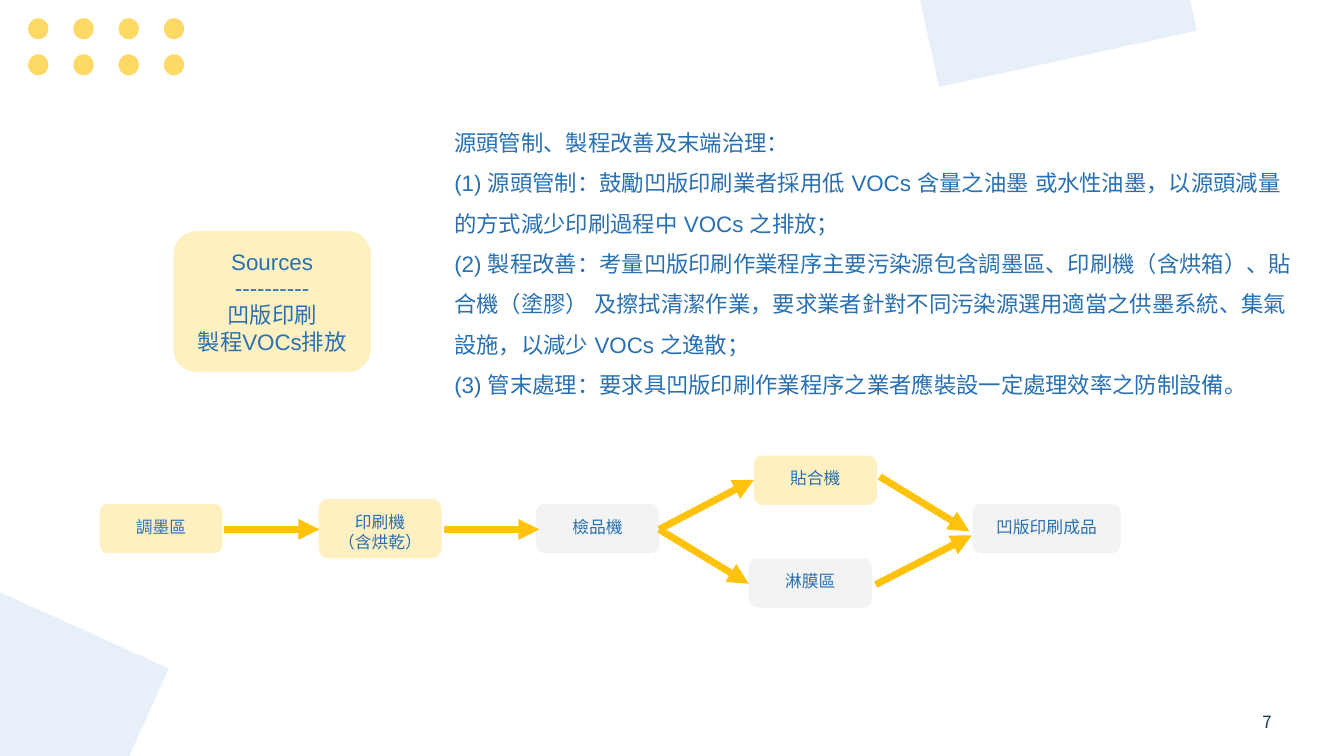
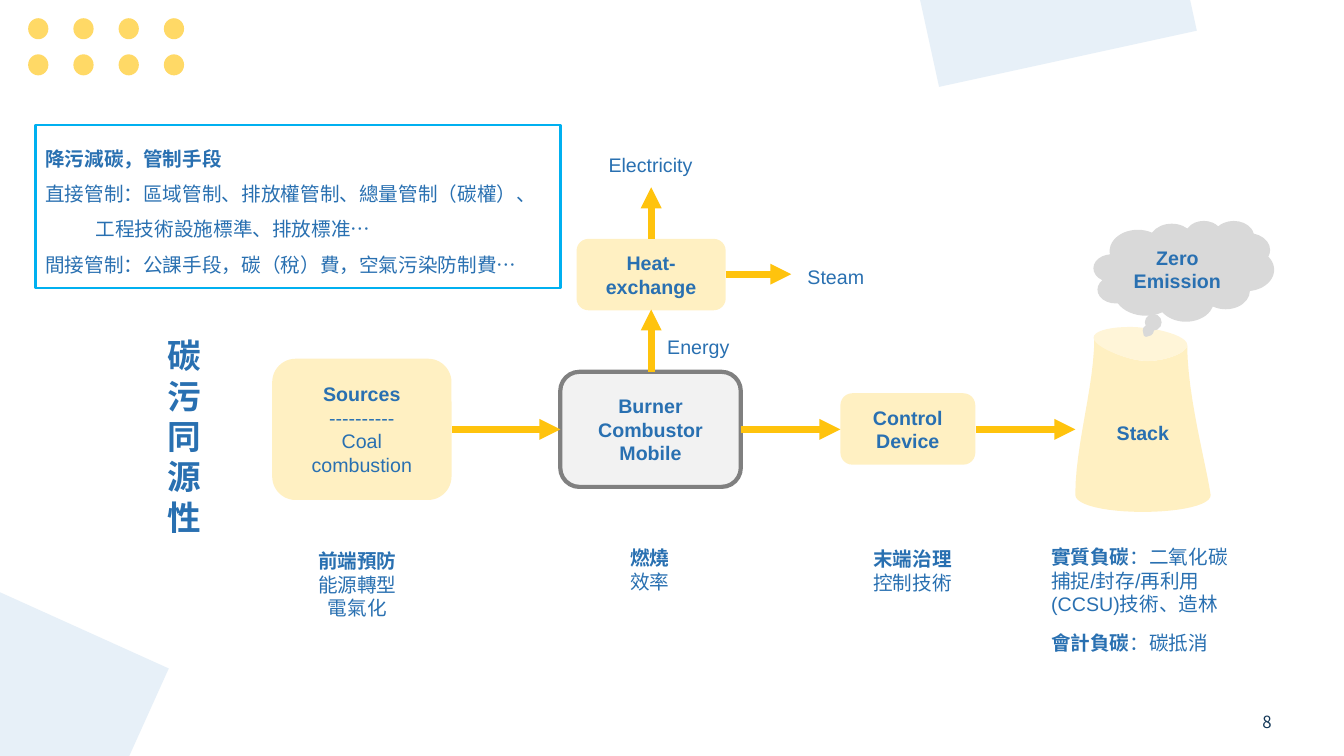
from lxml.etree import SubElement
from pptx import Presentation
from pptx.dml.color import RGBColor as RGB
from pptx.enum.shapes import MSO_CONNECTOR as LINK, MSO_SHAPE as KIND
from pptx.enum.text import MSO_ANCHOR as ANCHOR, PP_ALIGN as ALIGN
from pptx.oxml.ns import qn
from pptx.util import Cm, Pt

BLUE, NAVY, PALE = "2970B1", "143858", "E7F0F8"
GOLD, DOT, CREAM, RIM = "FFC30D", "FFD966", "FFF0C2", "FFF5D8"
GREY, ASH, EDGE, SKY, CLOUD = "F3F3F3", "F2F2F2", "808080", "00B0F0", "D9D9D9"
LATIN, HAN = "Arial", "Noto Sans CJK SC"
ROUND, MID, TOP = KIND.ROUNDED_RECTANGLE, ANCHOR.MIDDLE, ANCHOR.TOP


def box(slide, shape, at=None, text="", fill=None, line=None, size=14, ink=BLUE,
        font=LATIN, han=HAN, align=ALIGN.CENTER, anchor=TOP, gap=1.0):
    if at:
        area = [Cm(n) for n in at]
        if shape is None:
            shape = slide.shapes.add_textbox(*area)
        else:
            shape = slide.shapes.add_shape(shape, *area)
    shape.shadow.inherit = False
    if fill:
        shape.fill.solid()
        shape.fill.fore_color.rgb = RGB.from_string(fill)
    else:
        shape.fill.background()
    if line:
        shape.line.color.rgb = RGB.from_string(line[0])
        shape.line.width = Pt(line[1])
    else:
        shape.line.fill.background()
    if not text:
        return shape
    frame = shape.text_frame
    frame.word_wrap = True
    frame.vertical_anchor = anchor
    frame.margin_left = frame.margin_right = Cm(0.25)
    frame.margin_top = frame.margin_bottom = Cm(0.25)
    frame.text = text
    for par in frame.paragraphs:
        par.alignment, par.line_spacing = align, gap
        head, mark, tail = par.text.rpartition("|")
        par.text = head or tail
        if head and tail:
            par.add_run().text = tail
        for i, run in enumerate(par.runs):
            run.font.size, run.font.name = Pt(size), font
            run.font.bold = bool(head) and i == 0
            run.font.color.rgb = RGB.from_string(ink)
            SubElement(run.font._element, qn("a:ea"), typeface=han)
    return shape


def arrow(slide, *ends):
    link = slide.shapes.add_connector(LINK.STRAIGHT, *[Cm(n) for n in ends])
    link.line.color.rgb = RGB.from_string(GOLD)
    link.line.width = Pt(5)
    SubElement(link.line._get_or_add_ln(), qn("a:tailEnd"), type="triangle")
    SubElement(link._element.spPr, qn("a:effectLst"))


deck = Presentation()
deck.slide_width, deck.slide_height = Cm(33.87), Cm(19.05)
print_page, carbon_page = [deck.slides.add_slide(deck.slide_layouts[6]) for _ in range(2)]

for num, page in enumerate((print_page, carbon_page), 7):
    for i in range(8):
        row, col = divmod(i, 4)
        box(page, KIND.OVAL, (0.71 + 1.14 * col, 0.46 + 0.91 * row, 0.51, 0.53), fill=DOT)
    for left, top, turn in ((23.14, -2.69, 347.7), (-2.97, 15.29, 24.3)):
        box(page, KIND.RECTANGLE, (left, top, 6.65, 4.22), fill=PALE).rotation = turn
    box(page, None, (30.43, 17.68, 3, 1.02), str(num), size=12, ink=NAVY, font=HAN, anchor=MID)

box(print_page, ROUND, (4.37, 5.82, 4.98, 3.56),
    "Sources\n----------\n凹版印刷\n製程VOCs排放", CREAM, size=16, han=LATIN)
steps = [
    (2.51, 12.7, 3.1, 1.24, "調墨區", CREAM),
    (8.03, 12.57, 3.1, 1.5, "印刷機\n（含烘乾）", CREAM),
    (19, 11.48, 3.1, 1.24, "貼合機", CREAM),
    (13.51, 12.7, 3.1, 1.24, "檢品機", GREY),
    (24.51, 12.7, 3.73, 1.24, "凹版印刷成品", GREY),
    (18.87, 14.07, 3.1, 1.24, "淋膜區", GREY),
]
for *at, text, fill in steps:
    box(print_page, ROUND, at, text, fill, size=12, han=LATIN)
for ends in [
    (5.64, 13.34, 8.05, 13.34),
    (11.18, 13.34, 13.59, 13.34),
    (16.61, 13.34, 19, 12.09),
    (16.61, 13.34, 18.87, 14.71),
    (22.17, 12.01, 24.43, 13.39),
    (22.07, 14.73, 24.49, 13.49),
]:
    arrow(print_page, *ends)
rules = [
    "源頭管制、製程改善及末端治理：",
    "(1) 源頭管制：鼓勵凹版印刷業者採用低 VOCs 含量之油墨 或水性油墨，"
    "以源頭減量的方式減少印刷過程中 VOCs 之排放；",
    "(2) 製程改善：考量凹版印刷作業程序主要污染源包含調墨區、印刷機（含烘箱）、"
    "貼合機（塗膠） 及擦拭清潔作業，要求業者針對不同污染源選用適當之供墨系統、"
    "集氣設施，以減少 VOCs 之逸散；",
    "(3) 管末處理：要求具凹版印刷作業程序之業者應裝設一定處理效率之防制設備。",
]
box(print_page, None, (11.2, 2.67, 21.62, 8.71), "\n".join(rules),
    size=16, han=LATIN, align=ALIGN.LEFT, gap=1.5)

units = [
    (6.86, 9.04, 4.52, 3.56, "Sources|\n----------\nCoal combustion", CREAM, None),
    (14.12, 9.37, 4.55, 2.9, "Burner|\nCombustor|\nMobile|", ASH, (EDGE, 3)),
    (14.53, 6.02, 3.76, 1.8, "Heat- exchange|", CREAM, None),
    (21.18, 9.91, 3.4, 1.8, "Control|\nDevice|", CREAM, None),
]
for *at, text, fill, line in units:
    box(carbon_page, ROUND, at, text, fill, line, anchor=MID)

body = [(27.58, 8.48),
        (27.58, 8.74), (28.4, 9.07), (28.8, 9.09),
        (29.18, 9.14), (29.92, 8.94), (29.92, 8.69),
        (29.92, 9.96), (30.4, 11.71), (30.51, 12.47),
        (30.53, 12.73), (29.74, 12.9), (28.8, 12.9),
        (27.86, 12.9), (27.1, 12.73), (27.1, 12.47),
        (27.1, 11.2), (27.58, 9.75), (27.58, 8.48)]
rim = [(27.56, 8.51),
       (27.56, 8.26), (28.4, 8.2), (28.8, 8.26),
       (29.18, 8.28), (29.92, 8.46), (29.92, 8.69),
       (29.92, 8.94), (29.18, 9.14), (28.8, 9.09),
       (28.4, 9.07), (27.56, 8.74), (27.56, 8.51)]
for curve, fill, text in ((body, CREAM, "Stack|"), (rim, RIM, "")):
    dots = []
    for i in range(0, len(curve) - 1, 3):
        for t in [n / 12 for n in range(1, 13)]:
            parts = ((1 - t) ** 3, 3 * t * (1 - t) ** 2, 3 * t * t * (1 - t), t ** 3)
            dots.append([Cm(sum(w * p[k] for w, p in zip(parts, curve[i:i + 4])))
                         for k in (0, 1)])
    pen = carbon_page.shapes.build_freeform(*[Cm(n) for n in curve[0]])
    pen.add_line_segments(dots)
    stack = box(carbon_page, pen.convert_to_shape(), text=text, fill=fill, anchor=MID)
    if text:
        stack.text_frame.margin_top = Cm(0.7)

for ends in [
    (11.4, 10.82, 14.12, 10.82),
    (18.67, 10.82, 21.18, 10.82),
    (24.59, 10.82, 27.1, 10.82),
    (18.29, 6.91, 19.94, 6.91),
    (16.41, 9.37, 16.41, 7.8),
    (16.41, 6.02, 16.41, 4.72),
]:
    arrow(carbon_page, *ends)
box(carbon_page, KIND.CLOUD_CALLOUT, (27.56, 5.56, 4.55, 2.54), "Zero Emission|", CLOUD)

notes = [
    (16.1, 8.2, 3, 1.12, "Energy"),
    (14.58, 3.61, 3.63, 1.12, "Electricity"),
    (19.25, 6.43, 3.63, 1.12, "Steam"),
    (7.19, 13.59, 3.63, 2.31, "前端預防|\n能源轉型\n電氣化"),
    (14.73, 13.51, 3.3, 1.7, "燃燒|\n效率"),
    (21.18, 13.54, 3.63, 1.7, "末端治理|\n控制技術"),
]
for *at, text in notes:
    box(carbon_page, None, at, text)
for top, high, text in [
    (13.49, 2.31, "實質負碳|：二氧化碳捕捉/封存/再利用(CCSU)技術、造林"),
    (15.65, 1.12, "會計負碳|：碳抵消"),
]:
    box(carbon_page, None, (26.24, top, 5.33, high), text, align=ALIGN.LEFT)
means = [
    "降污減碳，管制手段|",
    "直接管制：區域管制、排放權管制、總量管制（碳權）、",
    "\t工程技術設施標準、排放標准…",
    "間接管制：公課手段，碳（稅）費，空氣污染防制費…",
]
box(carbon_page, KIND.RECTANGLE, (0.89, 3.15, 13.23, 4.11), "\n".join(means),
    line=(SKY, 2), align=ALIGN.LEFT, gap=1.5)
box(carbon_page, None, (3.66, 8.2, 1.98, 5.64), "碳污同源性|", size=24)

deck.save("out.pptx")
